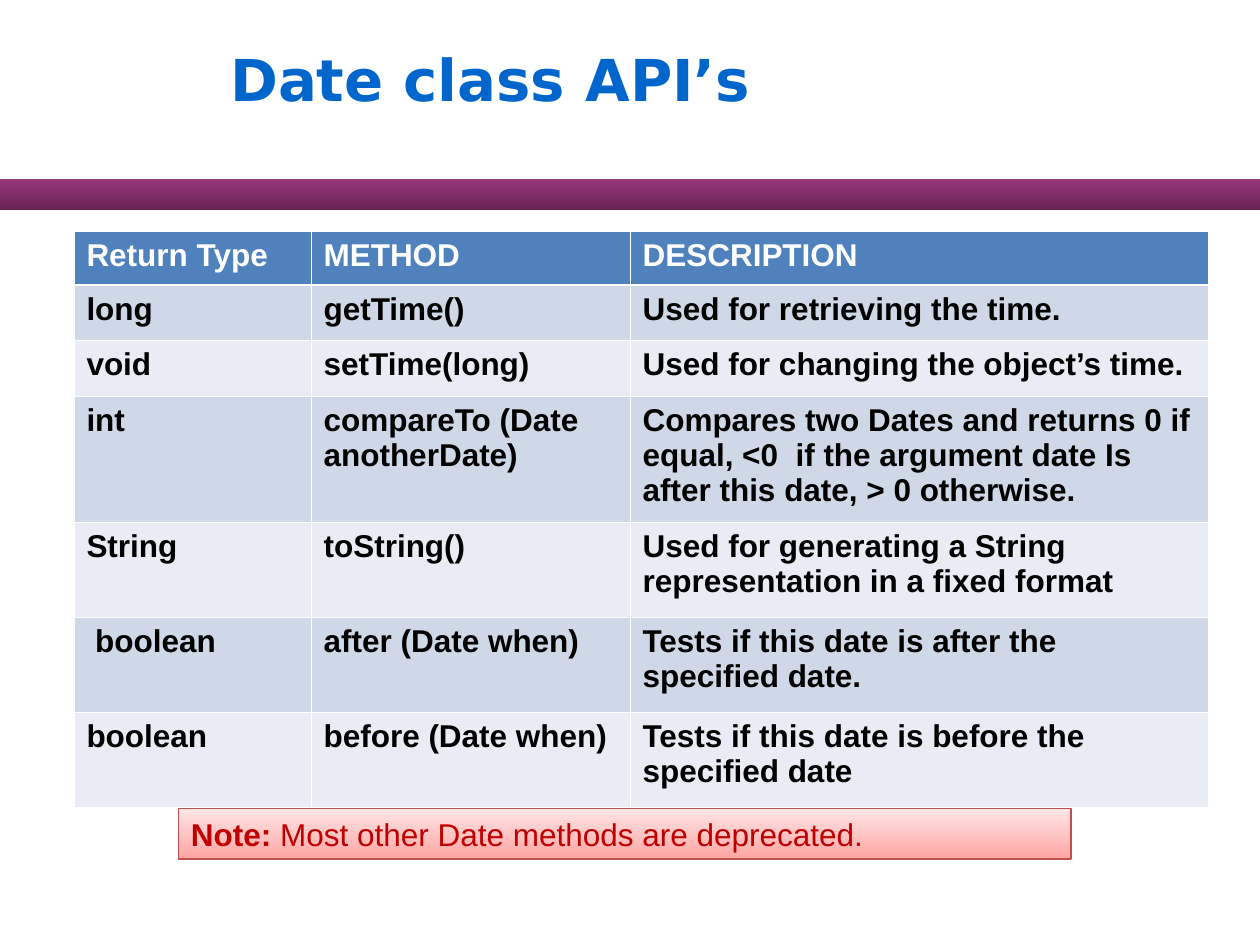
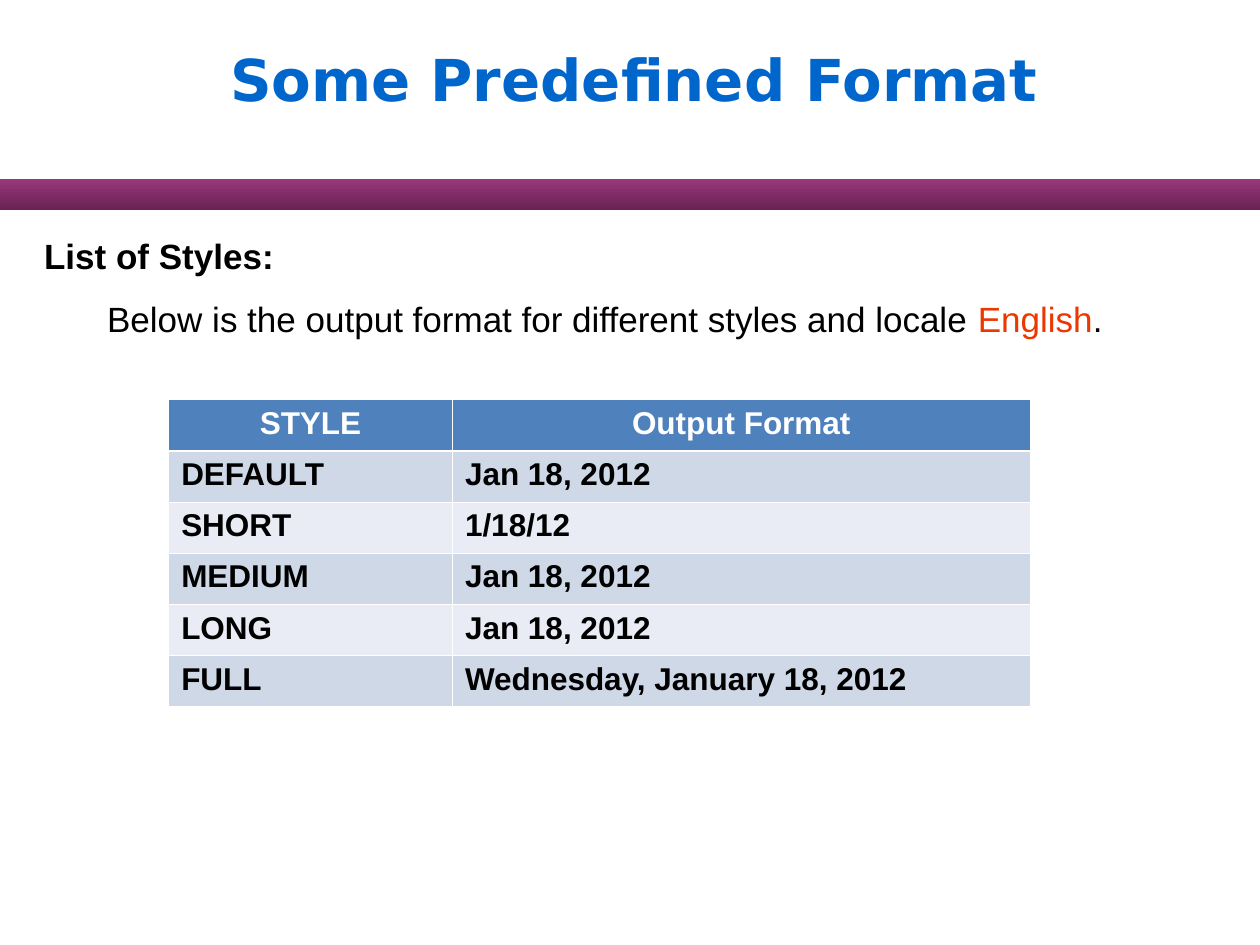
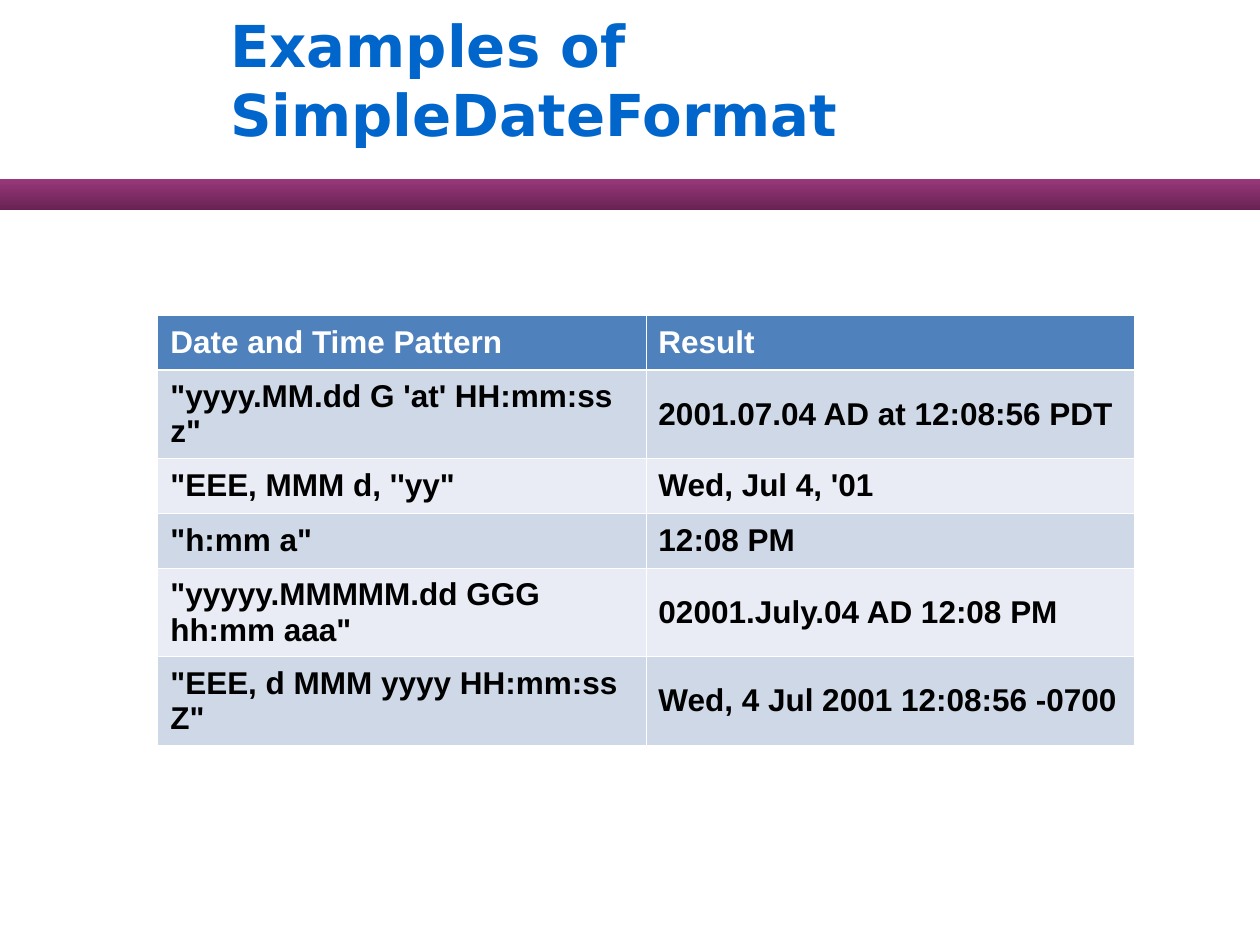
"""Build three slides on date classes and date formats."""
import pptx
import pptx.dml.color
import pptx.enum.shapes
import pptx.enum.text
import pptx.oxml.ns
import pptx.util
from lxml import etree

Cm = pptx.util.Cm
Pt = pptx.util.Pt
qn = pptx.oxml.ns.qn
ALIGN = pptx.enum.text.PP_ALIGN
ANCHOR = pptx.enum.text.MSO_ANCHOR

TITLE_BLUE, RED, ORANGE = "0066CC", "C00000", "EA3800"
BLACK, WHITE = "000000", "FFFFFF"
HEADER_FILL, ROW_FILLS = "4F81BD", ("CFD8E7", "E9ECF4")
BAND_GRADIENT = ("682252", "99387B")
NOTE_GRADIENT, NOTE_LINE = ("FFA5A3", "FFE6E6"), "C0504D"
TITLE_FONT, BODY_FONT = "DejaVu Sans", "Arial"
THIN, THICK = 0.45, 1.47

API_TABLE = {
    "at": (1.49, 4.66),
    "columns": (4.78, 6.43, 11.65),
    "heights": (1.09, 1.12, 1.12, 2.54, 1.91, 1.92, 1.91),
    "rows": [
        ("Return Type", "METHOD", "DESCRIPTION"),
        ("long", "getTime()", "Used for retrieving the time."),
        ("void", "setTime(long)", "Used for changing the object’s time."),
        ("int", "compareTo (Date anotherDate)",
         "Compares two Dates and returns 0 if equal, <0  if the argument "
         "date Is after this date, > 0 otherwise."),
        ("String", "toString()",
         "Used for generating a String representation in a fixed format"),
        ("\u00a0boolean", "after (Date\u00a0when)",
         "Tests if this date is after the specified date."),
        ("boolean", "before (Date when)",
         "Tests if this date is before the specified date"),
    ],
}
STYLE_TABLE = {
    "at": (3.4, 8.06),
    "columns": (5.72, 11.65),
    "heights": (1.03,) * 6,
    "header_align": ALIGN.CENTER,
    "rows": [
        ("STYLE", "Output Format"),
        ("DEFAULT", "Jan 18, 2012"),
        ("SHORT", "1/18/12"),
        ("MEDIUM", "Jan 18, 2012"),
        ("LONG", "Jan 18, 2012"),
        ("FULL", "Wednesday, January 18, 2012"),
    ],
}
PATTERN_TABLE = {
    "at": (3.18, 6.35),
    "columns": (9.84, 9.84),
    "heights": (1.11,) * 4 + (1.65, 1.53),
    "anchor": ANCHOR.MIDDLE,
    "rows": [
        ("Date and Time Pattern", "Result"),
        ("\"yyyy.MM.dd G 'at' HH:mm:ss z\"", "2001.07.04 AD at 12:08:56 PDT"),
        ("\"EEE, MMM d, ''yy\"", "Wed, Jul 4, '01"),
        ("\"h:mm a\"", "12:08 PM"),
        ("\"yyyyy.MMMMM.dd GGG hh:mm aaa\"", "02001.July.04 AD 12:08 PM"),
        ("\"EEE, d MMM yyyy HH:mm:ss Z\"", "Wed, 4 Jul 2001 12:08:56 -0700"),
    ],
}
NOTE = [("Note: ", RED, True),
        ("Most other Date methods are deprecated.", RED, False)]
STYLE_HEADING = [("List of Styles:", BLACK, True)]
STYLE_INTRO = [
    ("Below is the output format for different styles and locale ", BLACK, False),
    ("English", ORANGE, False),
    (".", BLACK, False),
]
SLIDES = [("Date class API’s", API_TABLE),
          ("Some Predefined Format", STYLE_TABLE),
          ("Examples of SimpleDateFormat", PATTERN_TABLE)]


def color(value):
    """Turn a hex string into a colour."""
    return pptx.dml.color.RGBColor.from_string(value)


def add_runs(para, runs, size, font=BODY_FONT):
    """Add (text, colour, bold) runs to a paragraph."""
    for text, tint, bold in runs:
        span = para.add_run()
        span.text = text
        span.font.name = font
        span.font.size = Pt(size)
        span.font.bold = bold
        span.font.color.rgb = color(tint)


def add_text_box(page, left, top, width, height):
    """Add a wrapping text box and return its text frame."""
    box = page.shapes.add_textbox(Cm(left), Cm(top), Cm(width), Cm(height))
    box.text_frame.word_wrap = True
    return box.text_frame


def add_gradient_box(page, left, top, width, height, tints):
    """Add a borderless rectangle shaded from bottom to top."""
    box = page.shapes.add_shape(pptx.enum.shapes.MSO_SHAPE.RECTANGLE,
                                Cm(left), Cm(top), Cm(width), Cm(height))
    box.shadow.inherit = False
    box.fill.gradient()
    box.fill.gradient_angle = 90
    for stop, tint in zip(box.fill.gradient_stops, tints):
        stop.color.rgb = color(tint)
    box.line.fill.background()
    return box


def add_page(deck, title):
    """Add a slide with the shared band and title."""
    page = deck.slides.add_slide(deck.slide_layouts[6])
    add_gradient_box(page, 0, 3.6, 25.4, 0.64, BAND_GRADIENT)
    frame = add_text_box(page, 4.45, 0, 20.95, 3.18)
    frame.margin_left = Cm(0.19)
    frame.vertical_anchor = ANCHOR.MIDDLE
    add_runs(frame.paragraphs[0], [(title, TITLE_BLUE, True)], 33, TITLE_FONT)
    return page


def set_borders(cell, row):
    """Draw white cell borders, thicker below the header row."""
    widths = {"a:lnL": THIN, "a:lnR": THIN,
              "a:lnT": THICK if row == 1 else THIN,
              "a:lnB": THICK if row == 0 else THIN}
    properties = cell._tc.get_or_add_tcPr()
    for index, (tag, width) in enumerate(widths.items()):
        line = etree.Element(qn(tag), w=str(Pt(width)))
        fill = etree.SubElement(line, qn("a:solidFill"))
        etree.SubElement(fill, qn("a:srgbClr"), val=WHITE)
        properties.insert(index, line)


def add_table(page, content):
    """Add a table with a header row and alternating row fills."""
    rows, columns, heights = content["rows"], content["columns"], content["heights"]
    left, top = content["at"]
    table = page.shapes.add_table(
        len(rows), len(columns), Cm(left), Cm(top),
        Cm(sum(columns)), Cm(sum(heights))).table
    table.first_row = table.horz_banding = False
    for column, width in zip(table.columns, columns):
        column.width = Cm(width)
    for number, (values, height) in enumerate(zip(rows, heights)):
        table.rows[number].height = Cm(height)
        header = number == 0
        for place, value in enumerate(values):
            cell = table.cell(number, place)
            cell.fill.solid()
            cell.fill.fore_color.rgb = color(
                HEADER_FILL if header else ROW_FILLS[(number - 1) % 2])
            cell.vertical_anchor = content.get("anchor", ANCHOR.TOP)
            para = cell.text_frame.paragraphs[0]
            if header:
                para.alignment = content.get("header_align", ALIGN.LEFT)
            add_runs(para, [(value, WHITE if header else BLACK, True)], 18)
            set_borders(cell, number)


def add_note(page):
    """Add the shaded note under the method table."""
    box = add_gradient_box(page, 3.6, 16.3, 17.99, 1.02, NOTE_GRADIENT)
    box.line.color.rgb = color(NOTE_LINE)
    box.line.width = Pt(0.74)
    box.text_frame.word_wrap = True
    box.text_frame.vertical_anchor = ANCHOR.TOP
    para = box.text_frame.paragraphs[0]
    para.alignment = ALIGN.LEFT
    add_runs(para, NOTE, 18)


def add_style_intro(page):
    """Add the heading and indented sentence above the style table."""
    frame = add_text_box(page, 0.64, 4.6, 24.13, 2.39)
    heading, intro = frame.paragraphs[0], frame.add_paragraph()
    for para, runs in ((heading, STYLE_HEADING), (intro, STYLE_INTRO)):
        para.space_before = Pt(12)
        add_runs(para, runs, 20)
    intro.level = 1
    properties = intro._p.get_or_add_pPr()
    properties.set("marL", str(Cm(1.27)))
    properties.set("indent", "0")


deck = pptx.Presentation()
deck.slide_width, deck.slide_height = Cm(25.4), Cm(19.05)
pages = [add_page(deck, title) for title, content in SLIDES]
add_style_intro(pages[1])
for page, (title, content) in zip(pages, SLIDES):
    add_table(page, content)
add_note(pages[0])
deck.save("out.pptx")
